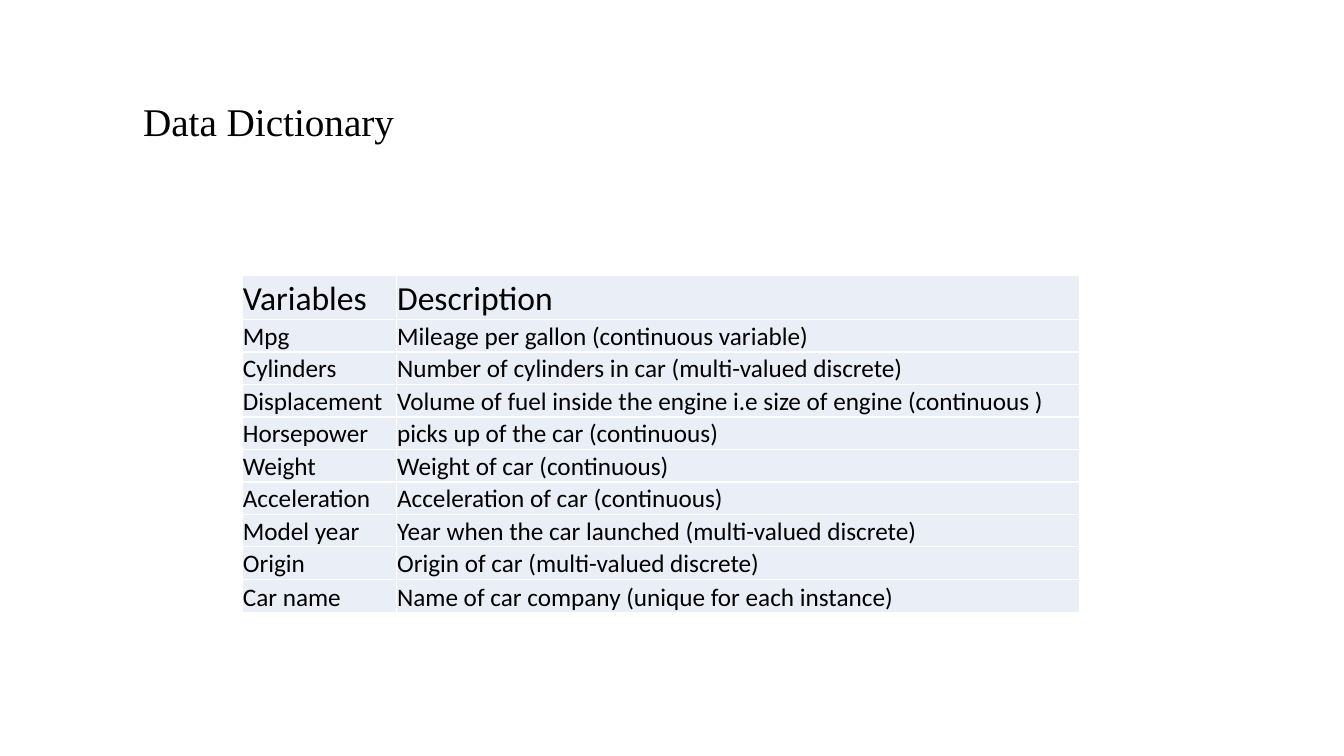
import pptx
import pptx.util
import pptx.dml.color
import pptx.enum.text
import pptx.oxml
import pptx.oxml.ns

Pt = pptx.util.Pt
COLORS = {"text": "000000", "cell": "EAEFF7", "border": "FFFFFF"}
ROWS = [
    ("Variables", "Description"),
    ("Mpg", "Mileage per gallon (continuous variable)"),
    ("Cylinders", "Number of cylinders in car (multi-valued discrete)"),
    ("Displacement", "Volume of fuel inside the engine i.e size of engine (continuous )"),
    ("Horsepower", "picks up of the car (continuous)"),
    ("Weight", "Weight of car (continuous)"),
    ("Acceleration", "Acceleration of car (continuous)"),
    ("Model year", "Year when the car launched (multi-valued discrete)"),
    ("Origin", "Origin of car (multi-valued discrete)"),
    ("Car name", "Name of car company (unique for each instance)"),
]
COLUMN_WIDTHS = [110.2, 488.1]
ROW_HEIGHTS = [31.7] + [23.2] * 8 + [23.9]


def color(name):
    return pptx.dml.color.RGBColor.from_string(COLORS[name])


def format_run(run, font_name, size, bold=False):
    run.font.name = font_name
    run.font.size = Pt(size)
    run.font.bold = bold
    run.font.color.rgb = color("text")


def add_title(slide):
    title = slide.shapes.title
    title.left, title.top, title.width, title.height = Pt(85), Pt(50.4), Pt(733.7), Pt(67.7)
    text_frame = title.text_frame
    text_frame.auto_size = pptx.enum.text.MSO_AUTO_SIZE.NONE
    text_frame.vertical_anchor = pptx.enum.text.MSO_ANCHOR.MIDDLE
    paragraph = text_frame.paragraphs[0]
    paragraph.alignment = pptx.enum.text.PP_ALIGN.LEFT
    paragraph.line_spacing = 0.9
    for text, size, bold in ((" ", 40, True), ("Data Dictionary", 28, False)):
        run = paragraph.add_run()
        run.text = text
        format_run(run, "Times New Roman", size, bold)


def set_borders(cell):
    properties = cell._tc.get_or_add_tcPr()
    for index, side in enumerate(("lnL", "lnR", "lnT", "lnB")):
        border = pptx.oxml.parse_xml(
            f'<a:{side} {pptx.oxml.ns.nsdecls("a")} w="{Pt(1)}"><a:solidFill>'
            f'<a:srgbClr val="{COLORS["border"]}"/></a:solidFill></a:{side}>'
        )
        properties.insert(index, border)


def fill_cell(cell, text, size):
    cell.text_frame.text = text
    cell.margin_left = cell.margin_right = cell.margin_top = Pt(0.7)
    cell.margin_bottom = Pt(0)
    cell.vertical_anchor = pptx.enum.text.MSO_ANCHOR.BOTTOM
    cell.fill.solid()
    cell.fill.fore_color.rgb = color("cell")
    format_run(cell.text_frame.paragraphs[0].runs[0], "Calibri", size)
    set_borders(cell)


def add_dictionary_table(slide):
    table = slide.shapes.add_table(
        len(ROWS), len(COLUMN_WIDTHS), Pt(172.8), Pt(196.6),
        Pt(sum(COLUMN_WIDTHS)), Pt(sum(ROW_HEIGHTS)),
    ).table
    table.first_row = False
    table.horz_banding = False
    for column, width in zip(table.columns, COLUMN_WIDTHS):
        column.width = Pt(width)
    for row_index, (row, height) in enumerate(zip(table.rows, ROW_HEIGHTS)):
        row.height = Pt(height)
        for cell, text in zip(row.cells, ROWS[row_index]):
            fill_cell(cell, text, 24 if row_index == 0 else 18)


def main():
    presentation = pptx.Presentation()
    presentation.slide_width = Pt(960)
    presentation.slide_height = Pt(540)
    slide = presentation.slides.add_slide(presentation.slide_layouts[5])
    add_title(slide)
    add_dictionary_table(slide)
    presentation.save("out.pptx")


if __name__ == "__main__":
    main()
